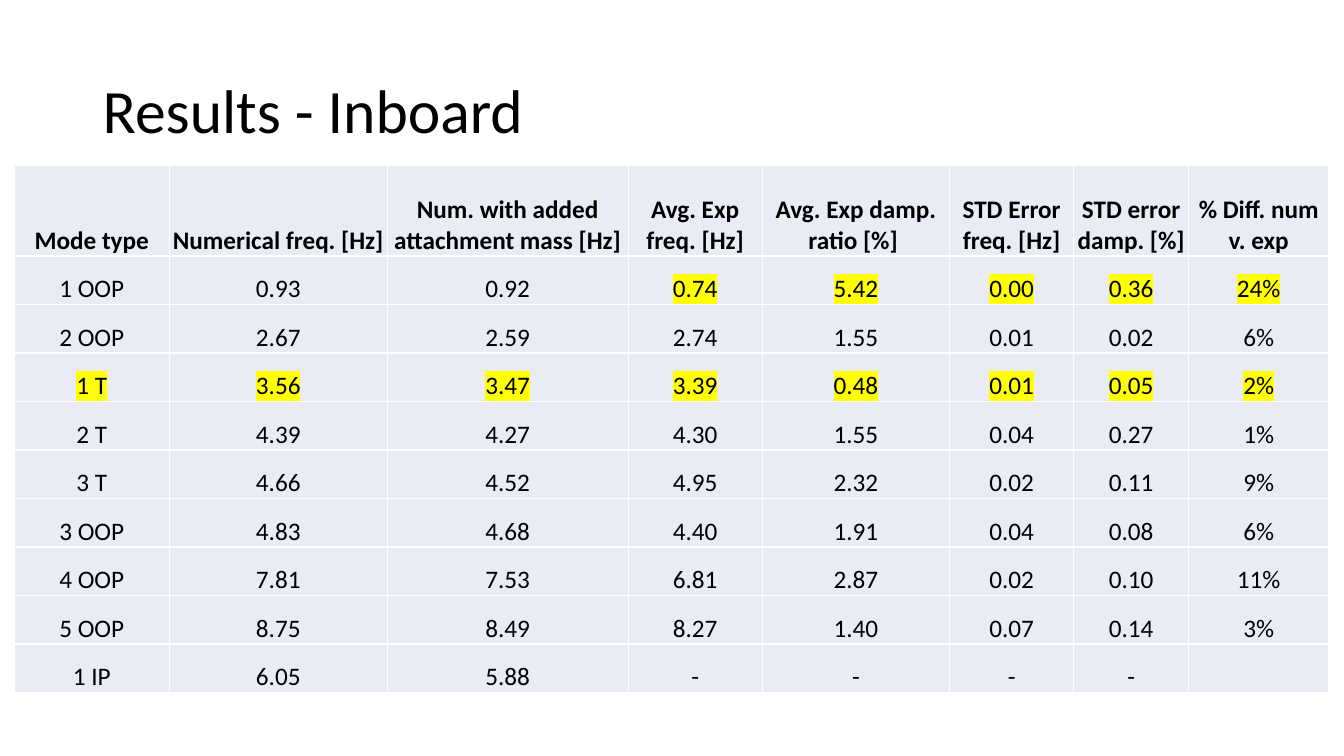
from lxml.etree import SubElement
from pptx import Presentation
from pptx.dml.color import RGBColor
from pptx.enum.text import MSO_ANCHOR as Anchor, PP_ALIGN as Align
from pptx.oxml.ns import qn
from pptx.util import Inches, Pt

# Content
TITLE = "Results - Inboard"
HEADINGS = (
    "Mode type", "Numerical freq. [Hz]", "Num. with added attachment mass [Hz]",
    "Avg. Exp freq. [Hz]", "Avg. Exp damp. ratio [%] ", "STD Error freq. [Hz]",
    "STD error damp. [%]", "% Diff. num v. exp",
)
MODES = [
    ("1 OOP", "0.93", "0.92", "0.74", "5.42", "0.00", "0.36", "24%"),
    ("2 OOP", "2.67", "2.59", "2.74", "1.55", "0.01", "0.02", "6%"),
    ("1 T", "3.56", "3.47", "3.39", "0.48", "0.01", "0.05", "2%"),
    ("2 T", "4.39", "4.27", "4.30", "1.55", "0.04", "0.27", "1%"),
    ("3 T", "4.66", "4.52", "4.95", "2.32", "0.02", "0.11", "9%"),
    ("3 OOP", "4.83", "4.68", "4.40", "1.91", "0.04", "0.08", "6%"),
    ("4 OOP", "7.81", "7.53", "6.81", "2.87", "0.02", "0.10", "11%"),
    ("5 OOP", "8.75", "8.49", "8.27", "1.40", "0.07", "0.14", "3%"),
    ("1 IP", "6.05", "5.88", "-", "-", "-", "-", ""),
]
HIGHLIGHT_FROM = {"1 OOP": 3, "1 T": 0}  # first highlighted column of a mode

# Format
COLORS = {"text": "000000", "cell": "E9EBF5", "border": "FFFFFF", "mark": "FFFF00"}
FONT = "Calibri"
COLUMN_WIDTHS = (1.54, 2.16, 2.39, 1.33, 1.86, 1.23, 1.14, 1.39)
TABLE_LEFT, TABLE_TOP, TABLE_HEIGHT, HEADING_HEIGHT = 0.14, 1.64, 5.23, 0.9


def write(frame, text, size, bold=False, align=Align.LEFT, spacing=None, mark=False):
    paragraph = frame.paragraphs[0]
    paragraph.alignment = align
    paragraph.line_spacing = spacing
    if not text:
        paragraph.font.size = Pt(size)
        return
    run = paragraph.add_run()
    run.text = text
    font = run.font
    font.size, font.bold = Pt(size), bold
    font.color.rgb = RGBColor.from_string(COLORS["text"])
    if mark:  # the highlight sits between the fill and the typeface
        highlight = SubElement(run._r.get_or_add_rPr(), qn("a:highlight"))
        SubElement(highlight, qn("a:srgbClr"), val=COLORS["mark"])
    font.name = FONT


def style_cell(cell):
    cell.vertical_anchor = Anchor.BOTTOM
    cell.margin_left = cell.margin_right = cell.margin_top = Inches(0.01)
    cell.margin_bottom = 0
    for side in ("lnL", "lnR", "lnT", "lnB"):
        border = SubElement(cell._tc.get_or_add_tcPr(), qn(f"a:{side}"), w=str(Pt(1)))
        SubElement(SubElement(border, qn("a:solidFill")), qn("a:srgbClr"),
                   val=COLORS["border"])
    cell.fill.solid()
    cell.fill.fore_color.rgb = RGBColor.from_string(COLORS["cell"])


prs = Presentation()
prs.slide_width, prs.slide_height = Inches(13.33), Inches(7.5)
slide = prs.slides.add_slide(prs.slide_layouts[6])

# Title
title = slide.shapes.add_textbox(
    Inches(0.92), Inches(0.4), Inches(11.5), Inches(1.45)).text_frame
title.word_wrap = True
title.vertical_anchor = Anchor.MIDDLE
write(title, TITLE, 44, spacing=0.9)

# Results table
results = slide.shapes.add_table(
    len(MODES) + 1, len(HEADINGS), Inches(TABLE_LEFT), Inches(TABLE_TOP),
    Inches(sum(COLUMN_WIDTHS)), Inches(TABLE_HEIGHT)).table
for column, width in zip(results.columns, COLUMN_WIDTHS):
    column.width = Inches(width)
mode_height = (TABLE_HEIGHT - HEADING_HEIGHT) / len(MODES)

for r, values in enumerate([HEADINGS, *MODES]):
    results.rows[r].height = Inches(mode_height if r else HEADING_HEIGHT)
    first_mark = HIGHLIGHT_FROM.get(values[0], len(values))
    for c, value in enumerate(values):
        cell = results.cell(r, c)
        style_cell(cell)
        write(cell.text_frame, value, 18, bold=r == 0, align=Align.CENTER,
              mark=c >= first_mark)

prs.save("out.pptx")
